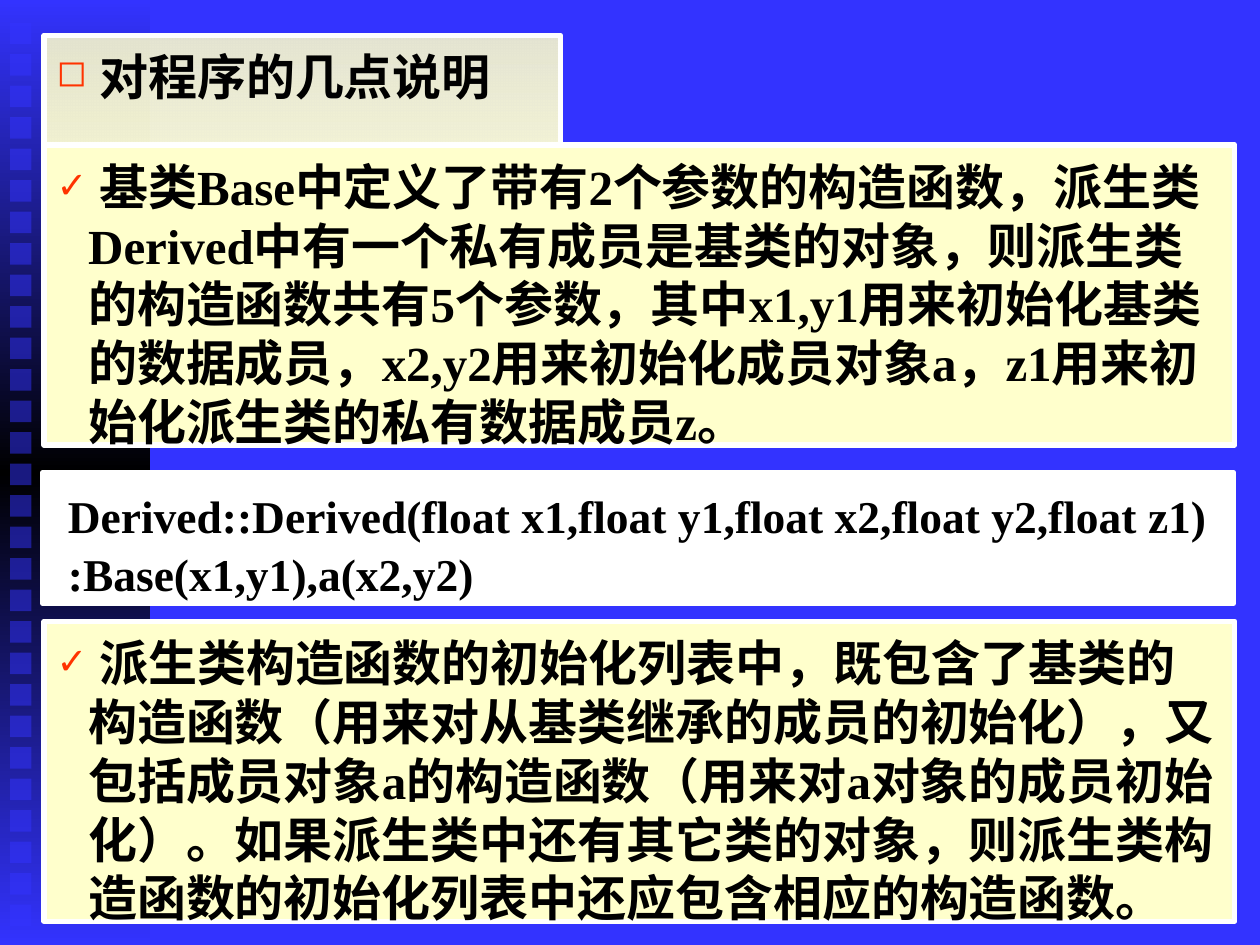
from typing import NamedTuple

from lxml import etree
from pptx import Presentation
from pptx.dml.color import RGBColor
from pptx.enum.shapes import MSO_SHAPE
from pptx.enum.text import MSO_ANCHOR, MSO_AUTO_SIZE, PP_ALIGN
from pptx.oxml.ns import qn
from pptx.util import Emu, Inches, Pt

RECTANGLE = MSO_SHAPE.RECTANGLE
TOP, LEFT = MSO_ANCHOR.TOP, PP_ALIGN.LEFT
GROW = MSO_AUTO_SIZE.SHAPE_TO_FIT_TEXT
TWO_CONTENT_LAYOUT = 3

SLIDE_WIDTH, SLIDE_HEIGHT = Inches(10), Inches(7.5)
CELL = SLIDE_WIDTH // 100  # square grid: 100 columns by 75 rows

BLUE, BLACK, WHITE = "3333FF", "000000", "FFFFFF"
CREAM, PALE_CREAM, ORANGE = "FFFFCC", "FFFFDB", "FF3300"
FONT = "Times New Roman"
SQUARE_COUNT = 29


class Area(NamedTuple):
    """Place and size in grid columns and rows."""
    column: float
    row: float
    columns: float
    rows: float

    def lengths(self) -> list[Emu]:
        return [Emu(round(value * CELL)) for value in self]


class Stop(NamedTuple):
    position: int
    color: str
    opacity: int = 100


class Panel(NamedTuple):
    area: Area
    lines: list[str]
    fill: str | list[Stop]
    size: int = 28
    bullet: str = ""
    spacing: float = 1.0


TITLE = Panel(Area(3.5, 2.8, 41, 6.1), [" 对程序的几点说明"],
              [Stop(0, CREAM, 87), Stop(100, PALE_CREAM)], bullet="◻")
LIST_NOTE = Panel(
    Area(3.5, 49.3, 94.5, 24.8),
    [" 派生类构造函数的初始化列表中，既包含了基类的构造函数（用来对从基类继承的成员的初始化），"
     "又包括成员对象a的构造函数（用来对a对象的成员初始化）。如果派生类中还有其它类的对象，"
     "则派生类构造函数的初始化列表中还应包含相应的构造函数。"],
    CREAM, bullet="✓")
CODE = Panel(
    Area(3.4, 37.5, 94.5, 10.4),
    ["Derived::Derived(float x1,float y1,float x2,float y2,float z1)",
     ":Base(x1,y1),a(x2,y2)"],
    WHITE, size=26, spacing=1.07)
PARAMETER_NOTE = Panel(
    Area(3.5, 11.5, 94.5, 24.8),
    [" 基类Base中定义了带有2个参数的构造函数，派生类Derived中有一个私有成员是基类的对象，"
     "则派生类的构造函数共有5个参数，其中x1,y1用来初始化基类的数据成员，"
     "x2,y2用来初始化成员对象a，z1用来初始化派生类的私有数据成员z。"],
    CREAM, bullet="✓")


def rgb(color: str) -> RGBColor:
    return RGBColor.from_string(color)


def add_element(parent, tag: str, **attributes):
    values = {name: str(value) for name, value in attributes.items()}
    return etree.SubElement(parent, qn(tag), values)


def set_opacity(color_element, percent: int) -> None:
    add_element(color_element, "a:alpha", val=percent * 1000)


def fill_downward(shape, stops: list[Stop]) -> None:
    """Fill with a gradient that runs from top to bottom."""
    shape.fill.gradient()
    shape.fill.gradient_angle = 270
    stop_list = shape._element.spPr.find(".//" + qn("a:gsLst"))
    for old_stop in list(stop_list):
        stop_list.remove(old_stop)
    for stop in stops:
        entry = add_element(stop_list, "a:gs", pos=stop.position * 1000)
        color = add_element(entry, "a:srgbClr", val=stop.color)
        if stop.opacity < 100:
            set_opacity(color, stop.opacity)


def paint(shape, fill: str | list[Stop]) -> None:
    if isinstance(fill, str):
        shape.fill.solid()
        shape.fill.fore_color.rgb = rgb(fill)
    else:
        fill_downward(shape, fill)


def add_rectangle(group, area: Area, fill: str | list[Stop]):
    shape = group.shapes.add_shape(RECTANGLE, *area.lengths())
    shape.shadow.inherit = False
    shape.line.fill.background()
    paint(shape, fill)
    return shape


def draw_side_band(page) -> None:
    band = page.shapes.add_group_shape()
    add_rectangle(band, Area(0, 0, 11.9, 75),
                  [Stop(0, BLUE), Stop(50, BLACK), Stop(100, BLUE)])
    for index in range(SQUARE_COUNT):
        square = add_rectangle(band, Area(0.8, 1.8 + 2.5 * index, 1.7, 1.7), BLUE)
        set_opacity(square._element.spPr.find(".//" + qn("a:srgbClr")), 50)


def set_marker(para, bullet: str) -> None:
    properties = para._p.get_or_add_pPr()
    margin = Inches(0.25 if bullet else 0.1)
    properties.set("marL", str(margin))
    properties.set("indent", str(-margin if bullet else 0))
    if bullet:
        color = add_element(properties, "a:buClr")
        add_element(color, "a:srgbClr", val=ORANGE)
        add_element(properties, "a:buSzPct", val=75000)
        add_element(properties, "a:buChar", char=bullet)


def draw_panel(shape, panel: Panel) -> None:
    """Place, paint and write a panel, in front of what is already drawn."""
    shape._element.getparent().append(shape._element)
    shape.left, shape.top, shape.width, shape.height = panel.area.lengths()
    paint(shape, panel.fill)
    shape.line.color.rgb = rgb(WHITE)
    shape.line.width = Pt(3)
    frame = shape.text_frame
    frame.word_wrap = True
    frame.auto_size = GROW
    frame.vertical_anchor = TOP
    frame.margin_left = frame.margin_right = Inches(0.1)
    frame.margin_top, frame.margin_bottom = Inches(0.09), Inches(0.05)
    frame.text = "\n".join(panel.lines)
    for para in frame.paragraphs:
        set_marker(para, panel.bullet)
        para.alignment = LEFT
        para.line_spacing = panel.spacing
        para.space_before = Pt(0)
        para.font.name = FONT
        para.font.size = Pt(panel.size)
        para.font.bold = True
        para.font.color.rgb = rgb(BLACK)


def main() -> None:
    deck = Presentation()
    deck.slide_width, deck.slide_height = SLIDE_WIDTH, SLIDE_HEIGHT
    page = deck.slides.add_slide(deck.slide_layouts[TWO_CONTENT_LAYOUT])
    page.background.fill.solid()
    page.background.fill.fore_color.rgb = rgb(BLUE)
    draw_side_band(page)
    draw_panel(page.shapes.title, TITLE)
    draw_panel(page.placeholders[1], LIST_NOTE)
    draw_panel(page.shapes.add_textbox(*CODE.area.lengths()), CODE)
    draw_panel(page.placeholders[2], PARAMETER_NOTE)
    deck.save("out.pptx")


if __name__ == "__main__":
    main()
